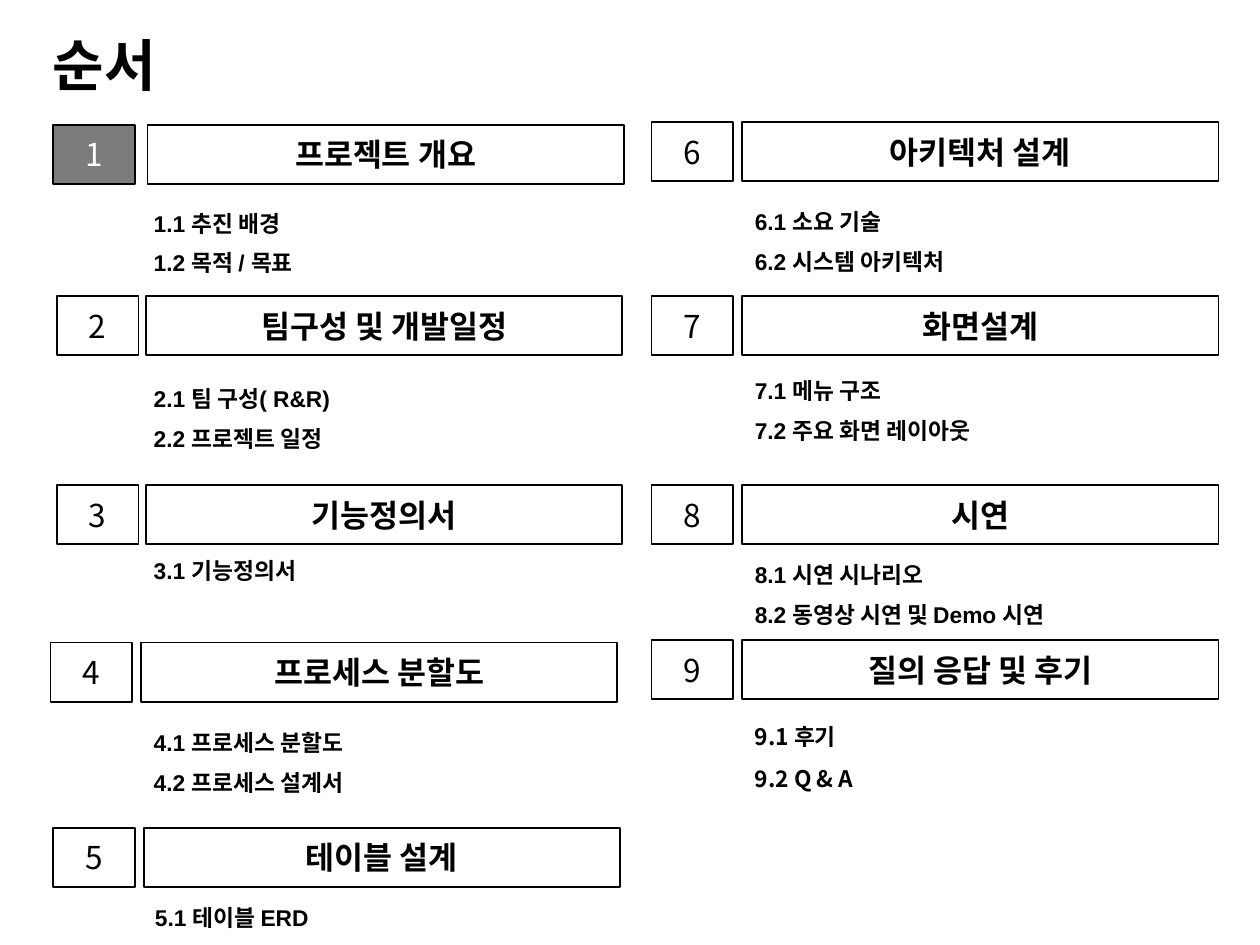
from dataclasses import dataclass

from lxml import etree
from pptx import Presentation
from pptx.dml.color import RGBColor
from pptx.enum.shapes import MSO_SHAPE
from pptx.enum.text import MSO_ANCHOR, MSO_AUTO_SIZE, PP_ALIGN
from pptx.oxml.ns import qn
from pptx.util import Inches, Pt

RECTANGLE = MSO_SHAPE.RECTANGLE
TOP, MIDDLE = MSO_ANCHOR.TOP, MSO_ANCHOR.MIDDLE
LEFT, CENTER, JUSTIFY = PP_ALIGN.LEFT, PP_ALIGN.CENTER, PP_ALIGN.JUSTIFY
FIXED, GROW = MSO_AUTO_SIZE.NONE, MSO_AUTO_SIZE.SHAPE_TO_FIT_TEXT

COLUMNS, ROWS = 100, 75
BAR_HEIGHT, NUMBER_WIDTH, HEADING_WIDTH = 4.7, 6.5, 37.8


@dataclass(frozen=True)
class Theme:
    ink: RGBColor = RGBColor(0, 0, 0)
    paper: RGBColor = RGBColor(255, 255, 255)
    current: RGBColor = RGBColor(0x7C, 0x7C, 0x7C)
    latin: str = "Arial"
    korean: str = "Noto Sans CJK KR"
    title_size: int = 32
    heading_size: int = 18
    item_size: int = 13
    line: float = 1


@dataclass(frozen=True)
class Section:
    number: str
    heading: str
    number_column: float
    heading_column: float
    row: float
    item_column: float
    item_lists: tuple
    item_font: str = Theme.latin
    active: bool = False


SECTIONS = (
    Section("1", "프로젝트 개요", 4.2, 11.7, 9.9, 12,
            ((15.7, ("1.1 추진 배경", "1.2 목적 / 목표")),), active=True),
    Section("2", "팀구성 및 개발일정", 4.5, 11.6, 23.5, 12,
            ((29.6, ("2.1 팀 구성( R&R)", "2.2 프로젝트 일정")),)),
    Section("3", "기능정의서", 4.5, 11.6, 38.5, 12,
            ((43.3, ("3.1 기능정의서",)),)),
    Section("4", "프로세스 분할도", 4, 11.2, 51, 12,
            ((56.9, ("4.1 프로세스 분할도", "4.2 프로세스 설계서")),)),
    Section("5", "테이블 설계", 4.2, 11.4, 65.7, 12.1,
            ((70.8, ("5.1 테이블 ERD",)),)),
    Section("6", "아키텍처 설계", 51.7, 58.9, 9.7, 59.7,
            ((15.6, ("6.1 소요 기술", "6.2 시스템 아키텍처")),)),
    Section("7", "화면설계", 51.7, 58.9, 23.5, 59.7,
            ((29, ("7.1 메뉴 구조", "7.2 주요 화면 레이아웃")),)),
    Section("8", "시연", 51.7, 58.9, 38.5, 59.7,
            ((43.6, ("8.1 시연 시나리오", "8.2 동영상 시연 및 Demo 시연")),)),
    Section("9", "질의 응답 및 후기", 51.7, 58.9, 50.8, 59.7,
            ((56.4, ("9.1 후기",)), (59.8, ("9.2 Q & A",))), Theme.korean),
)


def apply(target, values):
    for name, value in values.items():
        setattr(target, name, value)


class Agenda:
    def __init__(self, presentation, theme):
        self.theme = theme
        self.cell_width = presentation.slide_width / COLUMNS
        self.cell_height = presentation.slide_height / ROWS
        self.slide = presentation.slides.add_slide(presentation.slide_layouts[6])

    def area(self, column, row, width, height):
        return (round(column * self.cell_width), round(row * self.cell_height),
                round(width * self.cell_width), round(height * self.cell_height))

    def fill_text(self, shape, lines, font, frame, paragraph_format):
        apply(shape.text_frame, {"word_wrap": True, **frame})
        for index, line in enumerate(lines):
            if index:
                paragraph = shape.text_frame.add_paragraph()
                paragraph.space_before = Pt(4)
            else:
                paragraph = shape.text_frame.paragraphs[0]
            apply(paragraph, paragraph_format)
            run = paragraph.add_run()
            run.text = line
            apply(run.font, {key: font[key] for key in ("name", "size", "bold")})
            run.font.color.rgb = font["color"]
            east_asian = etree.SubElement(run.font._element, qn("a:ea"))
            east_asian.set("typeface", self.theme.korean)

    def font(self, name, size, bold=True, color=None):
        return {"name": name, "size": Pt(size), "bold": bold,
                "color": color or self.theme.ink}

    def title(self, wording):
        box = self.slide.shapes.add_textbox(*self.area(4.2, 2.1, 10.8, 6.7))
        frame = {"vertical_anchor": MIDDLE, "auto_size": FIXED,
                 "margin_left": 0, "margin_right": 0,
                 "margin_top": 0, "margin_bottom": 0}
        self.fill_text(box, [wording],
                       self.font(self.theme.latin, self.theme.title_size),
                       frame, {"alignment": LEFT, "line_spacing": 0.9})

    def bar(self, wording, column, row, width, bold, active=False):
        box = self.slide.shapes.add_shape(
            RECTANGLE, *self.area(column, row, width, BAR_HEIGHT))
        box.shadow.inherit = False
        box.line.color.rgb = self.theme.ink
        box.line.width = Pt(self.theme.line)
        if active:
            box.fill.solid()
            box.fill.fore_color.rgb = self.theme.current
        else:
            box.fill.background()
        color = self.theme.paper if active else self.theme.ink
        font = self.font(self.theme.korean, self.theme.heading_size, bold, color)
        self.fill_text(box, [wording], font, {"vertical_anchor": MIDDLE},
                       {"alignment": CENTER})

    def items(self, wordings, column, row, font_name):
        height = 3.6 + 4 * (len(wordings) - 1)
        box = self.slide.shapes.add_textbox(
            *self.area(column, row, HEADING_WIDTH, height))
        frame = {"vertical_anchor": TOP, "auto_size": GROW,
                 "margin_left": Inches(0.02), "margin_right": Inches(0.02)}
        self.fill_text(box, wordings, self.font(font_name, self.theme.item_size),
                       frame, {"alignment": JUSTIFY, "line_spacing": 1.2})

    def section(self, part):
        self.bar(part.number, part.number_column, part.row, NUMBER_WIDTH,
                 False, part.active)
        self.bar(part.heading, part.heading_column, part.row, HEADING_WIDTH, True)
        for row, wordings in part.item_lists:
            self.items(wordings, part.item_column, row, part.item_font)


def main():
    presentation = Presentation()
    apply(presentation, {"slide_width": Inches(10), "slide_height": Inches(7.5)})
    agenda = Agenda(presentation, Theme())
    agenda.title("순서")
    for part in SECTIONS:
        agenda.section(part)
    presentation.save("out.pptx")


if __name__ == "__main__":
    main()
